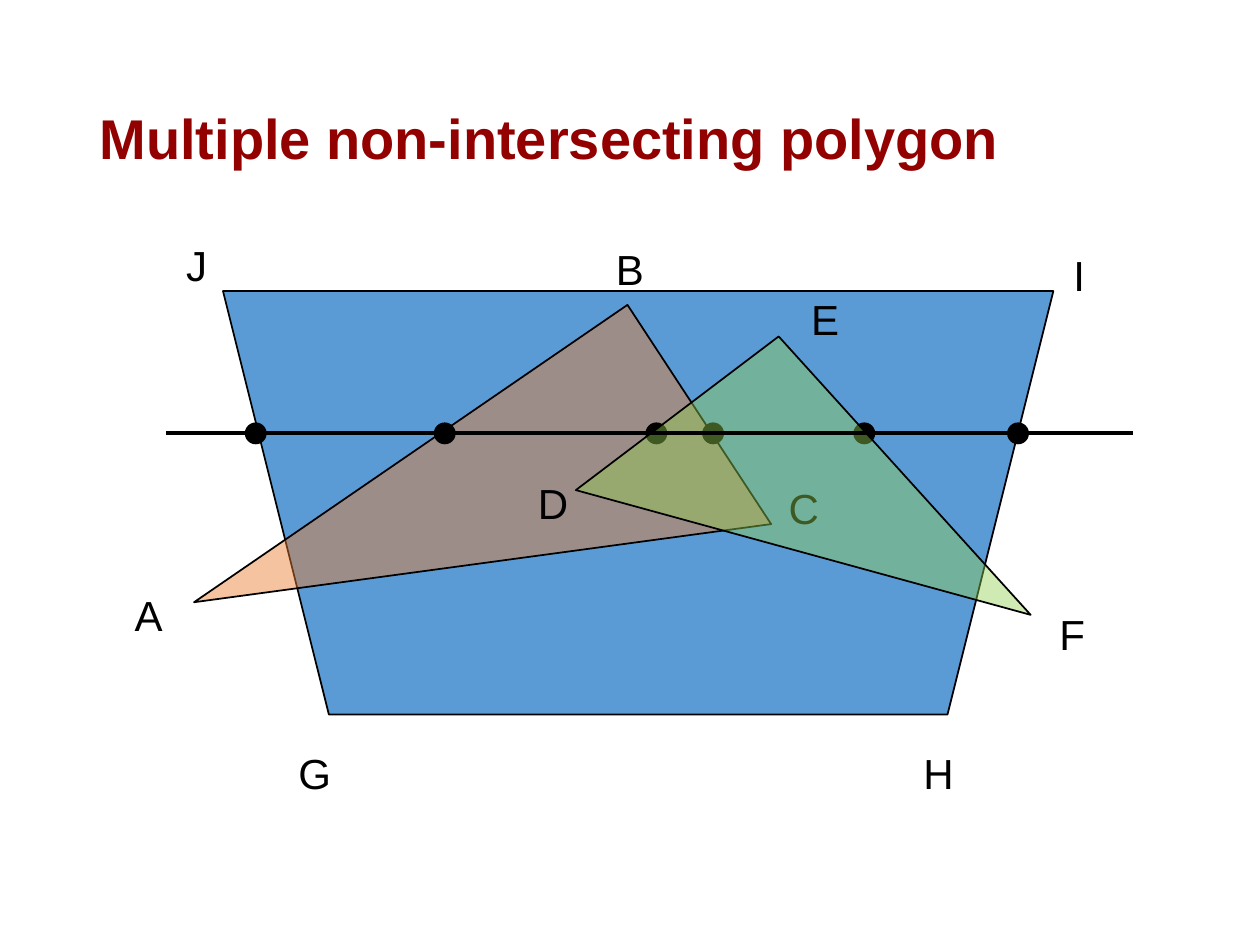
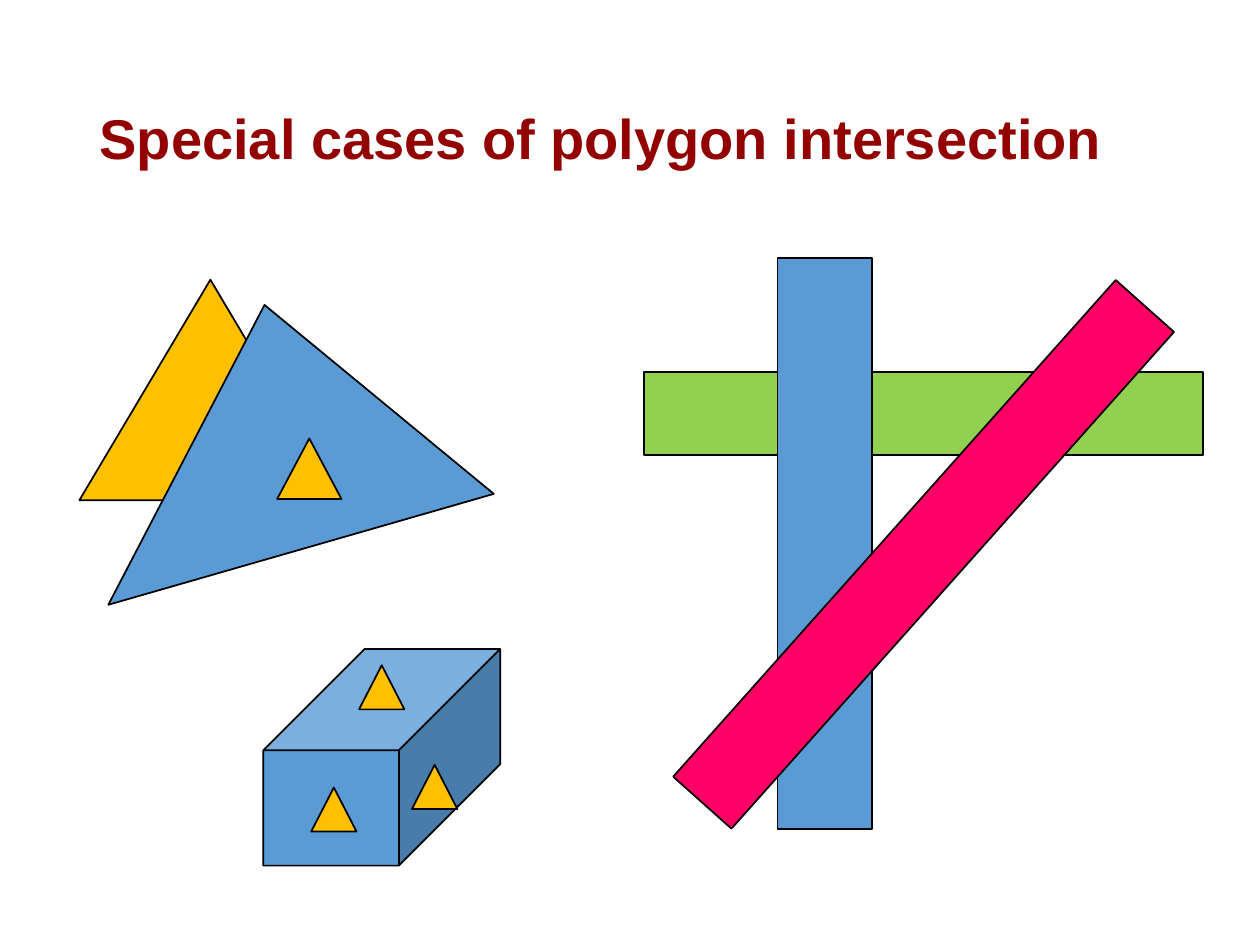
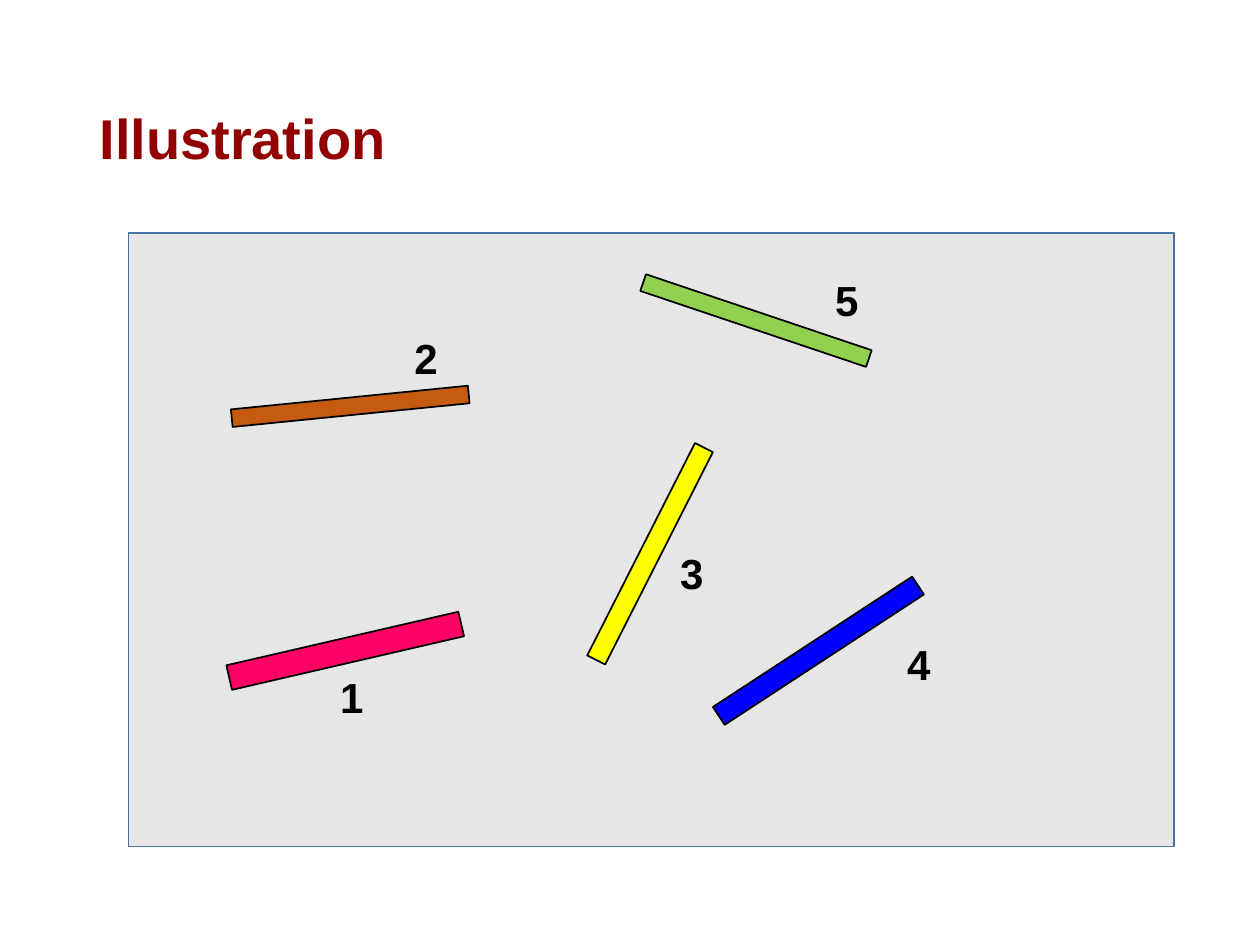
from dataclasses import dataclass

from pptx import Presentation
from pptx.dml.color import RGBColor
from pptx.enum.shapes import MSO_CONNECTOR, MSO_SHAPE
from pptx.enum.text import MSO_ANCHOR, MSO_AUTO_SIZE, PP_ALIGN
from pptx.oxml.ns import qn
from pptx.util import Inches, Pt
from lxml.etree import SubElement

# The slide is a grid of 100 columns by 75 rows
COLUMNS, ROWS = 100, 75
CELL = Inches(0.1)
FONT = "Arial"
BLACK, DARK_RED = "000000", "920000"
BLUE, ORANGE, GREEN = "5B9BD5", "ED7D31", "92D050"
GOLD, PINK, YELLOW = "FFC000", "FF0066", "FFFF00"
PURE_BLUE, BROWN = "0000FF", "C55A11"
PANEL_GREY, PANEL_EDGE = "E7E6E6", "43739E"


@dataclass
class Box:
    """An area of the grid, in columns and rows."""
    left: float
    top: float
    width: float
    height: float

    def inner(self, left, top, width, height):
        return Box(self.left + left, self.top + top, width, height)

    def point(self, column, row):
        return cells(self.left + column), cells(self.top + row)

    def lengths(self):
        return [cells(n) for n in (self.left, self.top, self.width, self.height)]


def cells(count):
    return round(count * CELL)


def color(code):
    return RGBColor.from_string(code)


# Shared parts
def paint(shape, fill, line=BLACK, opacity=None):
    shape.shadow.inherit = False
    shape.fill.solid()
    shape.fill.fore_color.rgb = color(fill)
    shape.line.color.rgb = color(line)
    shape.line.width = Pt(1)
    if opacity is not None:
        tint = shape.fill._xPr.find(qn("a:solidFill"))[0]
        SubElement(tint, qn("a:alpha")).set("val", str(opacity * 1000))
    return shape


def add_preset(page, kind, box, fill, rotation=0, line=BLACK):
    shape = page.shapes.add_shape(kind, *box.lengths())
    shape.rotation = rotation
    return paint(shape, fill, line)


def add_polygon(page, box, corners, fill, opacity=None):
    first, *others = [box.point(*corner) for corner in corners]
    builder = page.shapes.build_freeform(*first)
    builder.add_line_segments(others, close=True)
    return paint(builder.convert_to_shape(), fill, opacity=opacity)


def style_text(frame, text, size, code, bold):
    frame.text = text
    para = frame.paragraphs[0]
    para.font.name = FONT
    para.font.size = Pt(size)
    para.font.bold = bold
    para.font.color.rgb = color(code)
    return para


def add_label(page, box, text, bold=False):
    frame = page.shapes.add_textbox(*box.lengths()).text_frame
    frame.word_wrap = False
    frame.auto_size = MSO_AUTO_SIZE.SHAPE_TO_FIT_TEXT
    style_text(frame, text, 24, BLACK, bold)


def add_page(deck, title):
    page = deck.slides.add_slide(deck.slide_layouts[5])
    holder = page.shapes.title
    holder.left, holder.top, holder.width, holder.height = Box(
        6.9, 4, 86.2, 14.5).lengths()
    frame = holder.text_frame
    frame.auto_size = MSO_AUTO_SIZE.NONE
    frame.vertical_anchor = MSO_ANCHOR.MIDDLE
    para = style_text(frame, title, 32, DARK_RED, True)
    para.alignment = PP_ALIGN.LEFT
    para.line_spacing = 0.9
    return page


# Slide 1: scan line across overlapping polygons
def draw_scan_line(page, box):
    scan_row, dot = 16.4, 1.6
    add_preset(page, MSO_SHAPE.TRAPEZOID, box.inner(8.7, 5.1, 65.9, 33.6),
               BLUE, rotation=180)
    add_polygon(page, box, [(6.4, 29.8), (40.8, 6.2), (52.2, 23.6)], ORANGE, 46)

    # Corner names
    for name, left, top, width in [
        ("G", 13.7, 40.8, 4.6), ("H", 63.3, 40.8, 4.6),
        ("I", 75.2, 1.3, 2.9), ("J", 4.8, 0.5, 3.7),
        ("A", 0.7, 28.3, 4.3), ("B", 38.9, 0.8, 4.3),
        ("C", 52.6, 19.8, 4.5), ("D", 32.7, 19.4, 4.4),
        ("F", 74.1, 29.8, 4.1), ("E", 54.4, 4.8, 4.3),
    ]:
        add_label(page, box.inner(left, top, width, 5), name)

    # Crossings, partly under the green triangle
    for center in (11.3, 26.3, 43.1, 47.6, 59.6, 71.8):
        add_preset(page, MSO_SHAPE.OVAL,
                   box.inner(center - dot / 2, scan_row - dot / 2, dot, dot), BLACK)
    add_polygon(page, box, [(36.7, 20.9), (52.8, 8.7), (72.8, 30.8)], GREEN, 43)

    scan = page.shapes.add_connector(MSO_CONNECTOR.STRAIGHT,
                                     *box.point(4.2, scan_row),
                                     *box.point(80.9, scan_row))
    scan.line.color.rgb = color(BLACK)
    scan.line.width = Pt(2.25)
    SubElement(scan._element.spPr, qn("a:effectLst"))


# Slide 2: special cases
def draw_piercing_triangles(page, box):
    add_preset(page, MSO_SHAPE.ISOSCELES_TRIANGLE,
               box.inner(0.3, 0.2, 20.8, 17.5), GOLD)
    add_polygon(page, box, [(2.6, 26), (15, 2.2), (33.2, 17.2)], BLUE)
    add_preset(page, MSO_SHAPE.ISOSCELES_TRIANGLE,
               box.inner(16, 12.8, 5.1, 4.8), GOLD)


def draw_crossing_bars(page, box):
    for left, top, width, height, fill, rotation in [
        (0.1, 12.5, 44.4, 6.6, GREEN, 0),
        (10.7, 3.5, 7.5, 45.3, BLUE, 0),
        (19.2, 0.6, 6.2, 52.8, PINK, 41.7),
    ]:
        add_preset(page, MSO_SHAPE.RECTANGLE,
                   box.inner(left, top, width, height), fill, rotation)


def draw_pierced_cube(page, box):
    cube = add_preset(page, MSO_SHAPE.CUBE, box, BLUE)
    cube.adjustments[0] = 0.468
    for left, top in [(7.6, 1.3), (11.8, 9.2), (3.8, 11)]:
        add_preset(page, MSO_SHAPE.ISOSCELES_TRIANGLE,
                   box.inner(left, top, 3.6, 3.5), GOLD)


# Slide 3: numbered bars on a panel
def draw_numbered_bars(page, box):
    add_preset(page, MSO_SHAPE.RECTANGLE, box, PANEL_GREY, line=PANEL_EDGE)
    for number, left, top, width, rotation, fill, label_at in [
        ("3", 40.6, 16, 1.6, 26.9, YELLOW, (42.8, 24.5)),
        ("5", 49.1, -2.5, 1.4, 108.6, GREEN, (55.1, 2.8)),
        ("4", 53.9, 23.7, 1.7, 56.8, PURE_BLUE, (60.8, 31.7)),
        ("1", 16.2, 23.7, 2, 77, PINK, (15.8, 34.3)),
        ("2", 16.9, 4.3, 1.4, 84.3, BROWN, (21.7, 7.4)),
    ]:
        add_preset(page, MSO_SHAPE.RECTANGLE,
                   box.inner(left, top, width, 18.9), fill, rotation)
        add_label(page, box.inner(*label_at, 3.9, 5), number, bold=True)


def main():
    deck = Presentation()
    deck.slide_width, deck.slide_height = cells(COLUMNS), cells(ROWS)

    page = add_page(deck, "Multiple non-intersecting polygon")
    draw_scan_line(page, Box(9, 18, 82, 46))

    page = add_page(deck, "Special cases of polygon intersection")
    draw_piercing_triangles(page, Box(6, 22, 34, 27))
    draw_crossing_bars(page, Box(51, 17, 45, 53))
    draw_pierced_cube(page, Box(20.9, 51.5, 18.8, 17.2))

    page = add_page(deck, "Illustration")
    draw_numbered_bars(page, Box(10.2, 18.5, 83, 48.7))

    deck.save("out.pptx")


if __name__ == "__main__":
    main()
